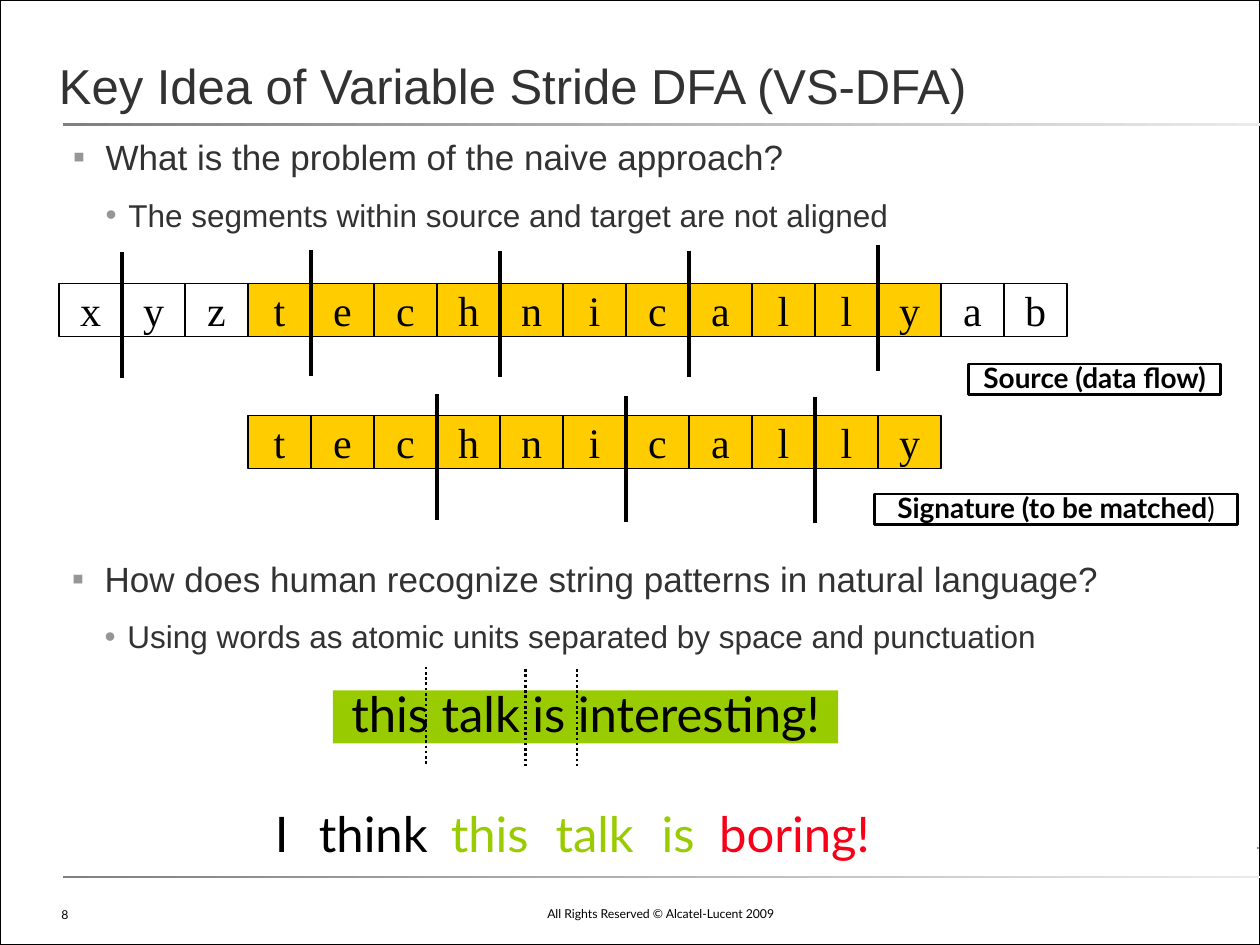
"""Build the slide on the key idea of variable stride DFA."""
from lxml.etree import SubElement as Sub
from pptx import Presentation
from pptx.dml.color import RGBColor as RGB
from pptx.enum.dml import MSO_LINE_DASH_STYLE as Dash
from pptx.enum.shapes import MSO_CONNECTOR as Link, MSO_SHAPE as Kind
from pptx.enum.text import MSO_ANCHOR as Anchor, PP_ALIGN as Align
from pptx.oxml.ns import qn
from pptx.util import Cm, Pt

BLACK = RGB(0, 0, 0)
WHITE = RGB(255, 255, 255)
INK = RGB(0x32, 0x32, 0x32)
PALE = RGB(0xEA, 0xEA, 0xEA)
LIGHT = RGB(0xD5, 0xD5, 0xD5)
GREY = RGB(0x80, 0x80, 0x80)
GOLD = RGB(0xFF, 0xCC, 0)
GREEN = RGB(0x99, 0xCC, 0)
RED = RGB(0xF7, 0, 0x18)

deck = Presentation()
deck.slide_width, deck.slide_height = Cm(25.4), Cm(19.05)
slide = deck.slides.add_slide(deck.slide_layouts[6])
slide.background.fill.solid()
slide.background.fill.fore_color.rgb = PALE
shapes = slide.shapes


def block(place, fill=None, width=0):
    box = shapes.add_shape(Kind.RECTANGLE, *map(Cm, place))
    box.shadow.inherit = False
    if fill is None:
        box.fill.background()
    else:
        box.fill.solid()
        box.fill.fore_color.rgb = fill
    if width:
        box.line.color.rgb = BLACK
        box.line.width = Pt(width)
    else:
        box.line.fill.background()
    return box


def write(box, lines, name, color, anchor=Anchor.TOP, pad=(0, 0), **form):
    frame = box.text_frame
    frame.word_wrap = True
    frame.vertical_anchor = anchor
    frame.margin_left = frame.margin_right = Cm(pad[0])
    frame.margin_top = frame.margin_bottom = Cm(pad[1])
    for at, (text, size, bold) in enumerate(lines):
        para = frame.paragraphs[0] if at == 0 else frame.add_paragraph()
        for key, value in form.items():
            setattr(para, key, value)
        run = para.add_run()
        run.text = text
        looks = {"name": name, "size": Pt(size), "bold": bold}
        for key, value in looks.items():
            setattr(run.font, key, value)
        run.font.color.rgb = color
    return frame


block((0, 0, 25.4, 19.05), WHITE, 1)
bars = [
    ((25.35, 17.07, 0.03, 0.05), LIGHT),
    ((1.27, 2.49, 24.13, 0.05), PALE),
    ((1.27, 17.65, 24.13, 0.05), PALE),
]
for place, tint in bars:
    fill = block(place).fill
    fill.gradient()
    fill.gradient_angle = 180
    for stop, color in zip(fill.gradient_stops, (tint, GREY)):
        stop.color.rgb = color

notes = [
    ((9.32, 18.06, 8, 0.64), "All Rights Reserved © Alcatel-Lucent 2009", Align.CENTER),
    ((0.99, 18.14, 8.86, 0.58), "8", Align.LEFT),
]
for place, text, side in notes:
    box = shapes.add_textbox(*map(Cm, place))
    write(box, [(text, 7, False)], "Lato", BLACK, Anchor.BOTTOM, (0.25, 0.13), alignment=side)

title = shapes.add_textbox(Cm(1.19), Cm(0.2), Cm(22.94), Cm(2.11))
write(title, [("Key Idea of Variable Stride DFA (VS-DFA)", 28, False)], "Arial", INK,
      Anchor.BOTTOM, line_spacing=Pt(26))

points = [
    ((0.99, 2.74, 22.53, 2.57), "What is the problem of the naive approach?",
     "The segments within source and target are not aligned"),
    ((0.97, 11.23, 23.7, 2.11), "How does human recognize string patterns in natural language?",
     "Using words as atomic units separated by space and punctuation"),
]
levels = [("▪", 1.14, -0.66, 24, 12), ("•", 1.6, -0.46, 20, 8)]
for place, head, sub in points:
    box = shapes.add_textbox(*map(Cm, place))
    frame = write(box, [(head, 20, False), (sub, 18, False)], "Arial", INK)
    for rank, (para, level) in enumerate(zip(frame.paragraphs, levels), 1):
        mark, left, hang, pitch, after = level
        props = para._p.get_or_add_pPr()
        props.set("marL", str(Cm(left)))
        props.set("indent", str(Cm(hang)))
        Sub(Sub(props, qn("a:buClr")), qn("a:srgbClr"), val="969696")
        Sub(props, qn("a:buFont"), typeface="Arial")
        Sub(props, qn("a:buChar"), char=mark)
        form = {"level": rank, "line_spacing": Pt(pitch), "space_after": Pt(after)}
        for key, value in form.items():
            setattr(para, key, value)

LEFT, STEP = 1.19, 1.27
rows = [("xyztechnicallyab", 0, 5.72), ("technically", 3, 8.38)]
for word, start, top in rows:
    for col, char in enumerate(word, start):
        fill = GOLD if 3 <= col < 14 else None
        cell = block((LEFT + col * STEP, top, STEP, 1.06), fill, 0.75)
        write(cell, [(char, 24, False)], "Times New Roman", BLACK, Anchor.MIDDLE,
              alignment=Align.CENTER)

tags = [
    ((19.53, 7.34, 5.08, 0.61), "Source (data flow)", ""),
    ((17.63, 9.96, 7.32, 0.61), "Signature (to be matched", ")"),
]
for place, text, tail in tags:
    frame = write(block(place, None, 1.5), [(text, 16, True)], "Lato", BLACK, Anchor.MIDDLE,
                  alignment=Align.CENTER, line_spacing=0.9)
    if tail:
        run = frame.paragraphs[0].add_run()
        run.text = tail
        looks = {"name": "Lato", "size": Pt(16), "bold": False}
        for key, value in looks.items():
            setattr(run.font, key, value)
        run.font.color.rgb = BLACK

banner = block((6.71, 13.92, 10.19, 1.07), GREEN)
write(banner, [("this talk is interesting!", 28, False)], "Lato", BLACK,
      alignment=Align.CENTER, line_spacing=0.9)
words = [
    ("I", 5.54, 0.58, BLACK),
    ("think", 6.43, 2.62, BLACK),
    ("this", 9.09, 1.96, GREEN),
    ("talk", 11.2, 1.96, GREEN),
    ("is", 13.34, 0.99, GREEN),
    ("boring!", 14.5, 3.35, RED),
]
for text, left, width, color in words:
    box = shapes.add_textbox(Cm(left), Cm(16.33), Cm(width), Cm(1.07))
    write(box, [(text, 28, False)], "Lato", color, line_spacing=0.9)

cuts = [(1, 5.08), (4, 5.03), (7, 5.05), (10, 5.05), (13, 4.93),
        (6, 7.95), (9, 7.98), (12, 8)]
ticks = [(LEFT + col * STEP, top, 2.54, 2.25, Dash.SOLID) for col, top in cuts]
gaps = [(8.59, 13.44), (10.59, 13.49), (11.63, 13.49)]
ticks += [(left, top, 2.01, 1.5, Dash.ROUND_DOT) for left, top in gaps]
for left, top, length, width, dash in ticks:
    line = shapes.add_connector(Link.STRAIGHT, Cm(left), Cm(top), Cm(left), Cm(top + length))
    line.line.color.rgb = BLACK
    line.line.width = Pt(width)
    line.line.dash_style = dash
    Sub(line._element.spPr, qn("a:effectLst"))

deck.save("out.pptx")
